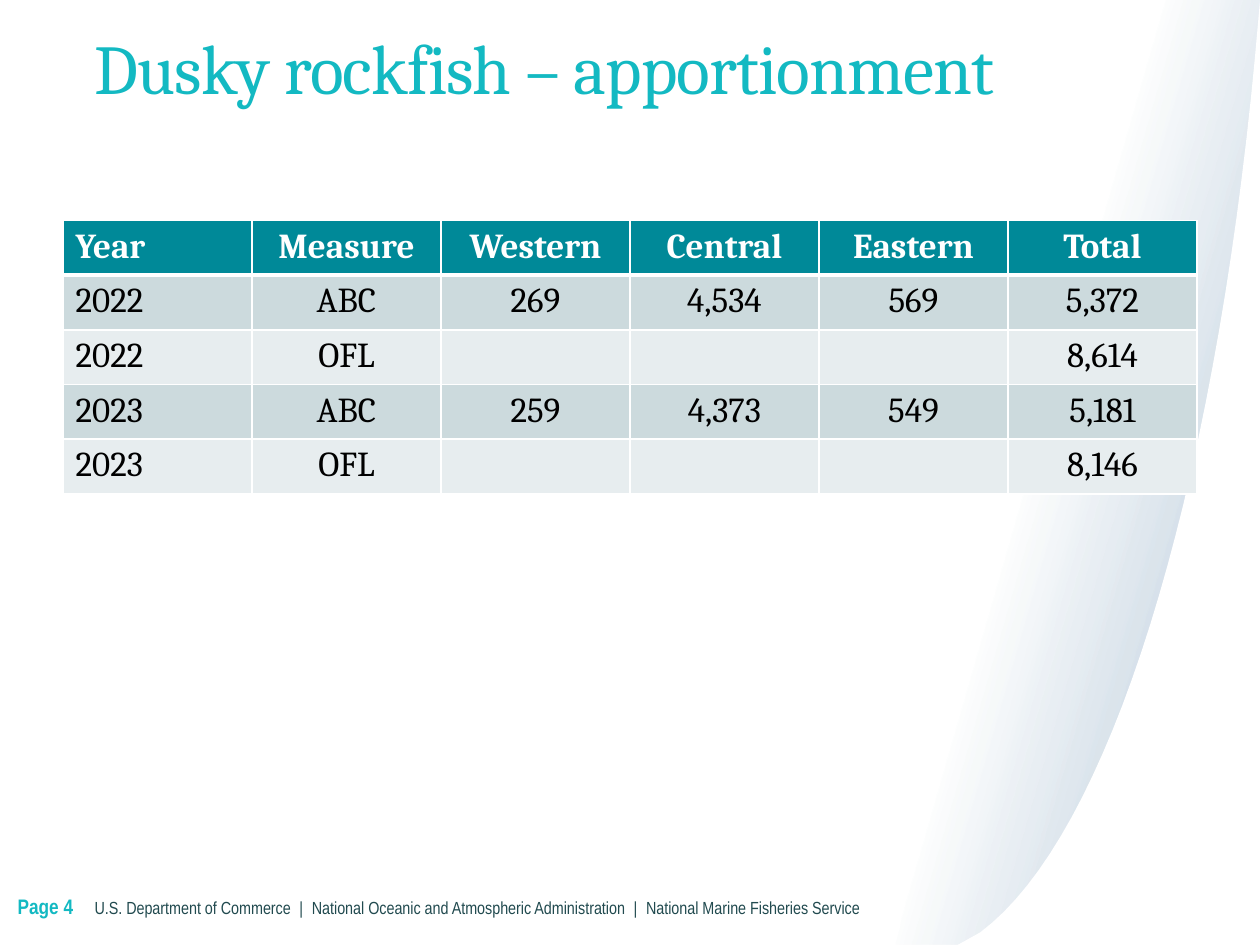
from pptx import Presentation
from pptx.dml.color import RGBColor as RGB
from pptx.enum.text import MSO_ANCHOR as Anchor, PP_ALIGN as Align
from pptx.oxml.ns import qn
from pptx.util import Inches, Pt
from lxml.etree import SubElement as Sub

HUE = {"white": "FFFFFF", "black": "000000", "navy": "07477D",
       "aqua": "13B9C2", "slate": "214A4F", "head": "008998",
       "odd": "CCDADD", "even": "E7EDEF"}

deck = Presentation()
deck.slide_width, deck.slide_height = Inches(10), Inches(7.5)
slide = deck.slides.add_slide(deck.slide_layouts[6])


def outline(points):
    spots = [(Inches(x), Inches(y)) for x, y in points]
    pen = slide.shapes.build_freeform(*spots[0], scale=1.0)
    pen.add_line_segments(spots[1:], close=True)
    shape = pen.convert_to_shape()
    shape.shadow.inherit = False
    shape.line.fill.background()
    return shape


def write(para, text, name, size, hue, bold=False):
    run = para.add_run()
    run.text = text
    look = {"name": name, "size": Pt(size), "bold": bold}
    for key, value in look.items():
        setattr(run.font, key, value)
    run.font.color.rgb = RGB.from_string(HUE[hue])
    return run


# Slanted band that fades in towards the right
band = outline([(9.93, 7.5), (7.11, 7.5), (8.78, 0), (10, 0)])
band.fill.gradient()
band.fill.gradient_angle = 344
for stop, (place, alpha) in zip(band.fill.gradient_stops, [(0.42, 0), (1, 34)]):
    stop.position = place
    stop.color.rgb = RGB.from_string(HUE["navy"])
    tint = band.fill._xPr.findall(".//" + qn("a:srgbClr"))[-1 if alpha else 0]
    Sub(tint, qn("a:alpha"), val=str(alpha * 1000))

# White area that cuts the band along a curve
knots = [(7.78, 7.4), (8.8, 6.64), (9.63, 3.96), (9.96, 0.46)]
curve = []
for step in range(33):
    t = step / 32
    parts = [(1 - t) ** 3, 3 * t * (1 - t) ** 2, 3 * t * t * (1 - t), t ** 3]
    curve.append([sum(p * k[axis] for p, k in zip(parts, knots))
                  for axis in (0, 1)])
cut = outline([(10, 0.01), (10, 7.5), (7.6, 7.5)] + curve)
cut.fill.solid()
cut.fill.fore_color.rgb = RGB.from_string(HUE["white"])

# Footer, page number and title
footer = "\u2002|\u2002".join(["U.S. Department of Commerce",
                               "National Oceanic and Atmospheric Administration",
                               "National Marine Fisheries Service"])
labels = [
    (footer, (0.75, 6.91, 7.32, 0.59), Anchor.MIDDLE,
     ("Arial Narrow", 10, "slate")),
    ("Page 4", (0.14, 6.89, 0.61, 0.61), Anchor.MIDDLE,
     ("Arial Narrow", 12, "aqua", True)),
    ("Dusky rockfish – apportionment", (0.75, 0.21, 8.95, 0.66), Anchor.BOTTOM,
     ("Cambria", 40, "aqua")),
]
for text, area, anchor, font in labels:
    frame = slide.shapes.add_textbox(*map(Inches, area)).text_frame
    form = {"word_wrap": True, "vertical_anchor": anchor, "margin_left": 0,
            "margin_right": 0, "margin_top": 0, "margin_bottom": 0}
    for key, value in form.items():
        setattr(frame, key, value)
    run = write(frame.paragraphs[0], text, *font)

# The title comes last and is set tighter
frame.paragraphs[0].line_spacing = 0.9
run.font._element.set("spc", "-50")

# Apportionment table
rows = [
    ["Year", "Measure", "Western", "Central", "Eastern", "Total"],
    ["2022", "ABC", "269", "4,534", "569", "5,372"],
    ["2022", "OFL", "", "", "", "8,614"],
    ["2023", "ABC", "259", "4,373", "549", "5,181"],
    ["2023", "OFL", "", "", "", "8,146"],
]
table = slide.shapes.add_table(5, 6, Inches(0.5), Inches(1.75),
                               Inches(9), Inches(2.1)).table
for r, row in enumerate(rows):
    shade = "head" if r == 0 else "odd" if r % 2 else "even"
    ink = "black" if r else "white"
    for c, text in enumerate(row):
        cell = table.cell(r, c)
        para = cell.text_frame.paragraphs[0]
        para.alignment = Align.CENTER if c else Align.LEFT
        para.font.size = Pt(20)
        if text:
            write(para, text, "Cambria", 20, ink, r == 0)
        # Borders go before the fill; the rule under the head is thicker
        props = cell._tc.get_or_add_tcPr()
        for side in ("lnL", "lnR", "lnT", "lnB"):
            thick = (r, side) in [(0, "lnB"), (1, "lnT")]
            edge = Sub(props, qn("a:" + side), w=str(Pt(3 if thick else 1)))
            solid = Sub(edge, qn("a:solidFill"))
            Sub(solid, qn("a:srgbClr"), val=HUE["white"])
        cell.fill.solid()
        cell.fill.fore_color.rgb = RGB.from_string(HUE[shade])

deck.save("out.pptx")
